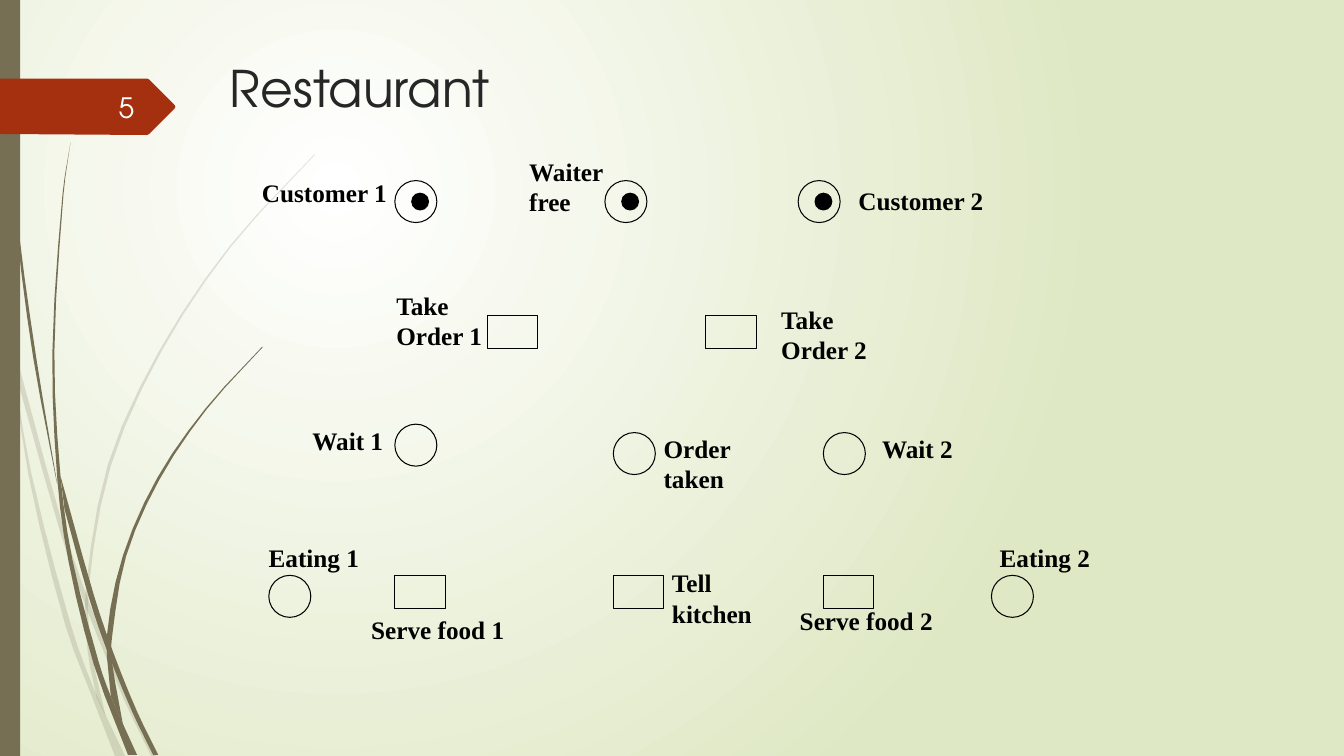
from dataclasses import dataclass
from math import dist

from lxml import etree
from pptx import Presentation
from pptx import util as u
from pptx.dml.color import RGBColor
from pptx.enum import shapes as kinds, text as txt
from pptx.oxml.ns import qn

BLACK = RGBColor(0x00, 0x00, 0x00)
WHITE = RGBColor(0xFF, 0xFF, 0xFF)
PALE_GREEN = RGBColor(0xDF, 0xE8, 0xC4)
OLIVE = RGBColor(0x76, 0x6F, 0x54)
RUST = RGBColor(0xA5, 0x30, 0x10)
CHARCOAL = RGBColor(0x26, 0x26, 0x26)
NEAR_WHITE = RGBColor(0xFE, 0xFF, 0xFF)

HEADING_FONT, LABEL_FONT = "TeX Gyre Adventor", "Times New Roman"
CELL = u.Inches(1) / 12  # the net lies on a grid of twelve cells an inch
PLACE_SIZE, TRANSITION_SIZE, TOKEN_SIZE = (5, 5), (6, 4), (2, 2)
TOKEN_SHIFT = (2, 1.5)

Points = tuple[tuple[float, float], ...]


@dataclass(frozen=True)
class Place:
    col: float
    row: float
    token: bool = False


@dataclass(frozen=True)
class Transition:
    col: float
    row: float


@dataclass(frozen=True)
class Label:
    words: str
    col: float
    row: float
    cols: float


@dataclass(frozen=True)
class Blade:
    """A blade of grass: one edge downwards, the other back, in inches."""
    there: Points
    back: Points


FAINT_GRASS = (
    Blade(((0, 2.82), (.11, 3.5), (.31, 4.69), (.7, 6.19), (.93, 6.83), (1.24, 7.5)),
          ((1.14, 7.5), (.92, 6.93), (.65, 6.21), (.28, 4.7), (.1, 3.44), (0, 2.99))),
    Blade(((.14, 3.45), (.62, 5.2), (.92, 6.07), (1.27, 6.92), (1.55, 7.5)),
          ((1.5, 7.5), (1.23, 6.94), (.84, 5.99), (.58, 5.22), (.17, 3.76))),
    Blade(((3.12, 1.53), (2.28, 2.44), (1.58, 3.48), (1.07, 4.61), (.85, 5.86), (.87, 6.46),
           (.96, 6.92)),
          ((1.05, 7.11), (.91, 6.46), (.88, 5.84), (1.1, 4.62), (1.6, 3.49), (2.29, 2.45),
           (3.12, 1.54))),
)
DARK_GRASS = (
    Blade(((.04, 0), (.08, 1.09), (.19, 2.32), (.36, 3.55), (.57, 4.81)),
          ((.56, 4.77), (.33, 3.55), (.17, 2.33), (.07, 1.1), (.03, 0))),
    Blade(((.7, 1.41), (.62, 1.93), (.52, 3.49), (.57, 4.77), (.68, 5.57), (.93, 6.59),
           (1.27, 7.49)),
          ((1.36, 7.49), (1.1, 6.91), (.98, 6.57), (.72, 5.56), (.6, 4.72), (.54, 3.49),
           (.63, 1.93), (.7, 1.41))),
    Blade(((.6, 4.72), (.93, 5.9), (1.13, 6.49), (1.36, 7.06), (1.57, 7.49)),
          ((1.52, 7.49), (1.32, 7.08), (1.06, 6.45), (.88, 5.92), (.64, 5.05))),
    Blade(((2.6, 3.44), (2.04, 4.05), (1.56, 4.74), (1.22, 5.51), (1.06, 6.31), (1.1, 6.91)),
          ((1.22, 7.19), (1.11, 6.56), (1.11, 6.33), (1.25, 5.52), (1.58, 4.76), (2.05, 4.06),
           (2.61, 3.44))),
)
NUMBER_FLAG = ((0, .78), (1.46, .78), (1.48, .79), (1.73, 1.04), (1.74, 1.06),
               (1.73, 1.08), (1.48, 1.33), (1.46, 1.34), (0, 1.33))

NET = (
    Place(47, 21.5, True), Transition(58, 37.5), Place(72, 21.5, True),
    Place(95, 21.5, True), Transition(84, 37.5), Place(47, 50.5), Place(73, 51.5),
    Place(98, 51.5), Transition(98, 68.5), Place(118, 68.5), Transition(73, 68.5),
    Transition(47, 68.5), Place(32, 68.5),
)
LABELS = (
    Label("Waiter\nfree", 61.8, 18, 11.4), Label("Customer 1", 30, 20.5, 17.3),
    Label("Customer 2", 101, 21.5, 17.3), Label("Take\nOrder 1", 46, 34, 12.7),
    Label("Take\nOrder 2", 91.8, 35.6, 12.7), Label("Order\ntaken", 77.8, 51, 10.4),
    Label("Tell\nkitchen", 78.8, 67, 11.9), Label("Wait 1", 36, 50, 10.9),
    Label("Wait 2", 103.8, 51, 10.9), Label("Serve food 1", 43, 72.5, 18.4),
    Label("Serve food 2", 94, 71.5, 18.4), Label("Eating 1", 30.8, 64, 13.3),
    Label("Eating 2", 117.8, 64, 13.3),
)


def smooth(edge: Points, steps: int = 3) -> list[tuple[float, float]]:
    """Run a smooth curve through the points of an edge."""
    slopes = []
    for i in range(len(edge)):
        near = edge[max(i - 1, 0):i + 2]
        run = sum(dist(a, b) for a, b in zip(near, near[1:]))
        slopes.append([(b - a) / run for a, b in zip(near[0], near[-1])])
    curve = [edge[0]]
    for p, q, leave, arrive in zip(edge, edge[1:], slopes, slopes[1:]):
        length = dist(p, q)
        for t in (step / steps for step in range(1, steps + 1)):
            ease = 3 * t**2 - 2 * t**3
            pull, push = length * t * (1 - t)**2, length * t**2 * (t - 1)
            curve.append(tuple((1 - ease) * p[k] + ease * q[k] + pull * leave[k] + push * arrive[k]
                               for k in (0, 1)))
    return curve


def paint(shape, fill: RGBColor | None, line: RGBColor | None = None) -> None:
    shape.shadow.inherit = False
    if fill is None:
        shape.fill.background()
    else:
        shape.fill.solid()
        shape.fill.fore_color.rgb = fill
    if line is None:
        shape.line.fill.background()
    else:
        shape.line.color.rgb = line
        shape.line.width = u.Pt(0.75)


def add_outline(slide, points, fill: RGBColor, opacity: int = 100) -> None:
    start, *rest = [(u.Inches(x), u.Inches(y)) for x, y in points]
    builder = slide.shapes.build_freeform(*start)
    builder.add_line_segments(rest, close=True)
    outline = builder.convert_to_shape()
    paint(outline, fill)
    if opacity < 100:
        colour = outline._element.spPr.find(f"{qn('a:solidFill')}/{qn('a:srgbClr')}")
        etree.SubElement(colour, qn("a:alpha"), val=str(opacity * 1000))


def add_node(slide, kind, col: float, row: float, size, fill: RGBColor | None = None) -> None:
    node = slide.shapes.add_shape(kind, *(round(n * CELL) for n in (col, row, *size)))
    paint(node, fill, BLACK)


def add_words(slide, words: str, box, font: str, size: int, colour: RGBColor,
              bold: bool = False, wrap: bool = True, align=txt.PP_ALIGN.LEFT):
    frame = slide.shapes.add_textbox(*(round(n) for n in box)).text_frame
    frame.word_wrap = wrap
    frame.text = words
    for paragraph in frame.paragraphs:
        paragraph.alignment = align
        paragraph.font.name, paragraph.font.size = font, u.Pt(size)
        paragraph.font.bold, paragraph.font.color.rgb = bold, colour
    return frame


def main() -> None:
    deck = Presentation()
    deck.slide_width, deck.slide_height = u.Inches(13.33), u.Inches(7.5)
    slide = deck.slides.add_slide(deck.slide_layouts[6])

    # Background: a round glow in the upper left
    glow = slide.background.fill
    glow.gradient()
    for stop, colour, position in zip(glow.gradient_stops, (WHITE, PALE_GREEN), (0, 1)):
        stop.color.rgb, stop.position = colour, position
    linear = next(slide._element.iter(qn("a:lin")))
    circle = etree.Element(qn("a:path"), path="circle")
    etree.SubElement(circle, qn("a:fillToRect"), l="50000", t="50000", r="100000", b="100000")
    linear.getparent().replace(linear, circle)

    # Grass, side bar and number flag
    for grass, opacity in ((FAINT_GRASS, 20), (DARK_GRASS, 100)):
        for blade in grass:
            add_outline(slide, smooth(blade.there) + smooth(blade.back), OLIVE, opacity)
    side_bar = slide.shapes.add_shape(kinds.MSO_SHAPE.RECTANGLE, 0, 0, u.Inches(0.2), deck.slide_height)
    paint(side_bar, OLIVE)
    add_outline(slide, NUMBER_FLAG, RUST)

    # Title and slide number
    add_words(slide, "Restaurant", map(u.Inches, (2.18, 0.52, 3.81, 0.96)), HEADING_FONT, 36, CHARCOAL)
    number = add_words(slide, "5", map(u.Inches, (0.58, 0.86, 0.85, 0.4)), HEADING_FONT, 20,
                       NEAR_WHITE, align=txt.PP_ALIGN.RIGHT)
    number.vertical_anchor = txt.MSO_ANCHOR.MIDDLE

    # Petri net: places with tokens, and transitions
    for node in NET:
        if isinstance(node, Transition):
            add_node(slide, kinds.MSO_SHAPE.RECTANGLE, node.col, node.row, TRANSITION_SIZE)
            continue
        add_node(slide, kinds.MSO_SHAPE.OVAL, node.col, node.row, PLACE_SIZE)
        if node.token:
            add_node(slide, kinds.MSO_SHAPE.OVAL, node.col + TOKEN_SHIFT[0],
                     node.row + TOKEN_SHIFT[1], TOKEN_SIZE, BLACK)

    # Labels
    for label in LABELS:
        rows = 8.4 if "\n" in label.words else 4.8
        box = (n * CELL for n in (label.col, label.row, label.cols, rows))
        frame = add_words(slide, label.words, box, LABEL_FONT, 18, BLACK, bold=True, wrap=False)
        frame.auto_size = txt.MSO_AUTO_SIZE.SHAPE_TO_FIT_TEXT

    deck.save("out.pptx")


if __name__ == "__main__":
    main()
